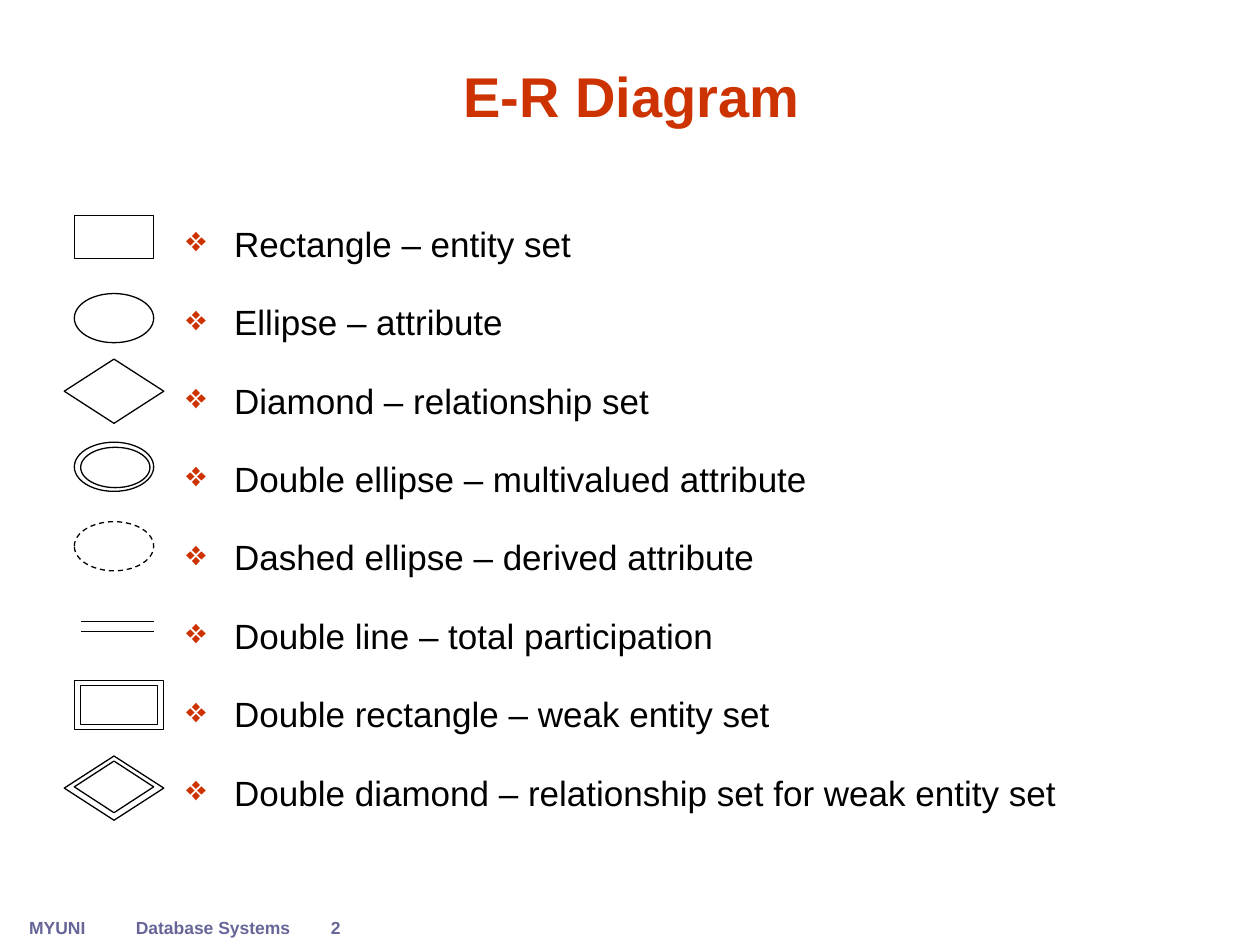
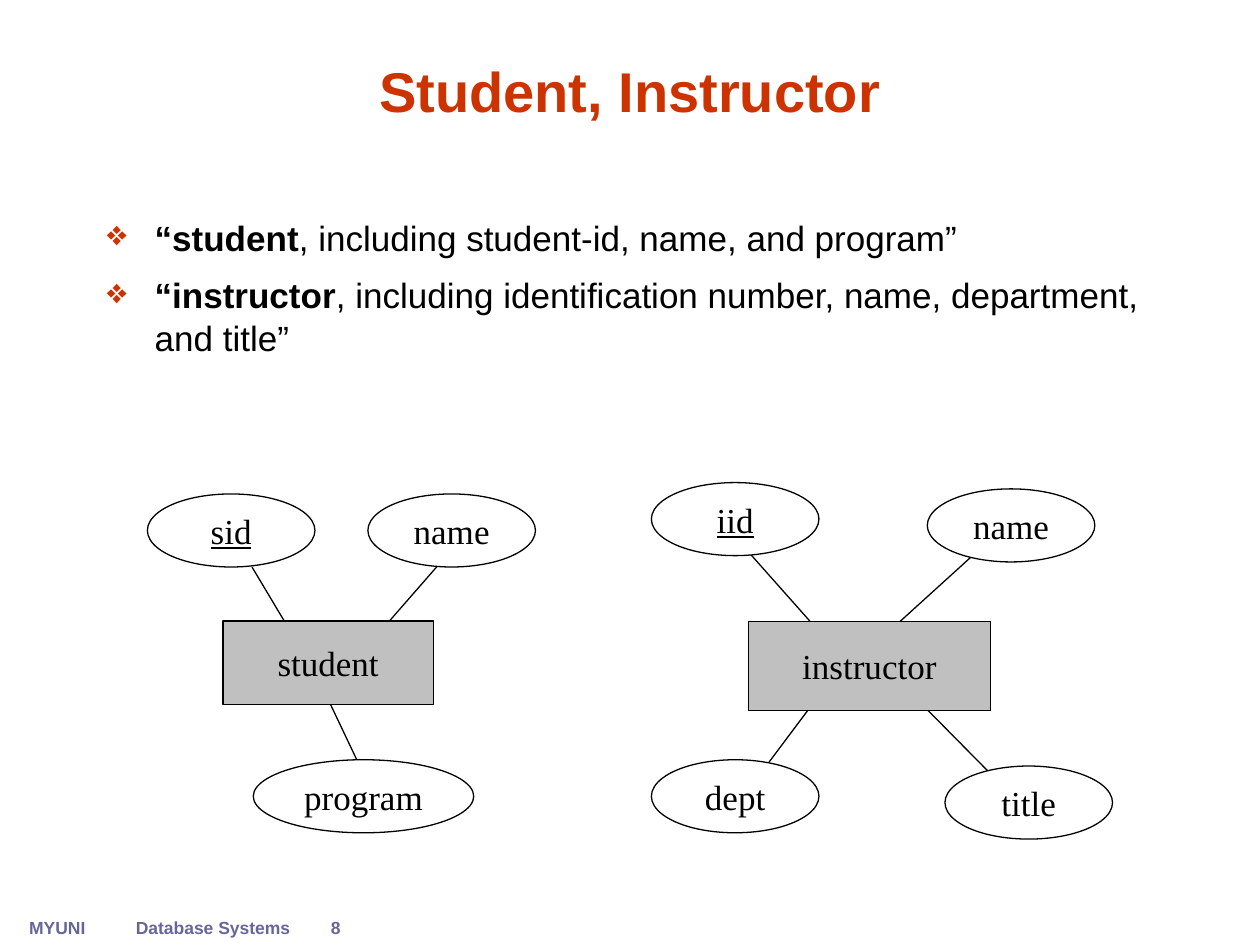
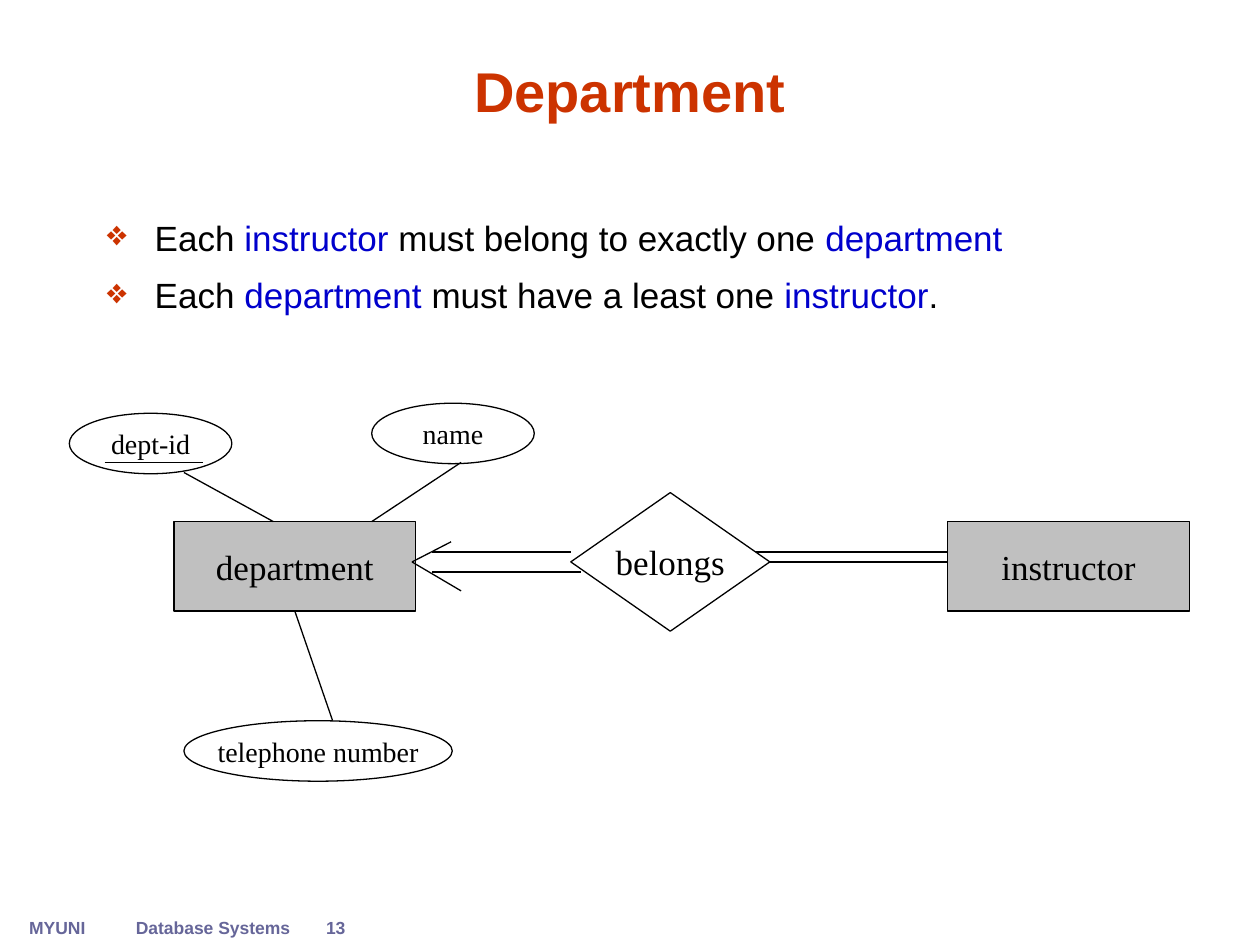
from dataclasses import dataclass

from lxml import etree
from pptx import Presentation
from pptx import util as u
from pptx.dml.color import RGBColor
from pptx.enum import dml, shapes, text
from pptx.oxml.ns import qn

COLORS = {
    "title": "CC3300",
    "footer": "666699",
    "ink": "000000",
    "term": "0000CC",
    "entity": "C0C0C0",
    "paper": "FFFFFF",
}
SANS, SERIF = "Arial", "Times New Roman"
TITLE_ONLY = 5
RECTANGLE = shapes.MSO_SHAPE.RECTANGLE
PROCESS = shapes.MSO_SHAPE.FLOWCHART_PROCESS
ELLIPSE = shapes.MSO_SHAPE.OVAL
DIAMOND = shapes.MSO_SHAPE.FLOWCHART_DECISION


@dataclass
class Node:
    kind: shapes.MSO_SHAPE
    left: float
    top: float
    width: float
    height: float
    label: str = ""
    fill: str = ""
    size: int = 20
    underline: bool = False
    dashed: bool = False


@dataclass
class Link:
    x1: float
    y1: float
    x2: float
    y2: float
    below: str = ""  # label of the node whose bottom middle it leaves


@dataclass
class Span:
    text: str
    bold: bool = False
    color: str = "ink"


def rgb(name: str) -> RGBColor:
    return RGBColor.from_string(COLORS[name])


def inches(*lengths: float) -> list:
    return [u.Inches(length) for length in lengths]


# Text
def add_span(para, words: str, *, size: int, font: str = SANS, color: str = "ink",
             bold: bool = False, underline: bool = False) -> None:
    span = para.add_run()
    span.text = words
    span.font.name = font
    span.font.size = u.Pt(size)
    span.font.color.rgb = rgb(color)
    span.font.bold = bold
    if underline:
        span.font.underline = True


def add_bullet(para) -> None:
    props = para._p.get_or_add_pPr()
    props.set("marL", str(u.Inches(0.38)))
    props.set("indent", str(-u.Inches(0.38)))
    color = etree.SubElement(props, qn("a:buClr"))
    etree.SubElement(color, qn("a:srgbClr")).set("val", COLORS["title"])
    etree.SubElement(props, qn("a:buChar")).set("char", "❖")


def add_bullets(page, place: tuple, items: list[list[Span]], spacing: float = 1.0) -> None:
    frame = page.shapes.add_textbox(*inches(*place)).text_frame
    frame.word_wrap = True
    for number, spans in enumerate(items):
        para = frame.add_paragraph() if number else frame.paragraphs[0]
        para.line_spacing = spacing
        para.space_before = u.Pt(8.8)
        add_bullet(para)
        for span in spans:
            add_span(para, span.text, size=20, bold=span.bold, color=span.color)


# Parts shared by every slide
def add_footer(page, number: int) -> None:
    center, left = text.PP_ALIGN.CENTER, text.PP_ALIGN.LEFT
    for words, x, width, align in (("MYUNI", 0.12, 0.67, center),
                                   ("Database Systems", 0.98, 1.42, left),
                                   (str(number), 2.23, 0.87, center)):
        frame = page.shapes.add_textbox(*inches(x, 7.23, width, 0.27)).text_frame
        frame.word_wrap = False
        para = frame.paragraphs[0]
        para.alignment = align
        para.space_before = u.Pt(6.2)
        add_span(para, words, size=10, color="footer", bold=True)


def add_page(deck, title: str, number: int, place: tuple = (0.75, 0.05, 8.5, 0.98)):
    page = deck.slides.add_slide(deck.slide_layouts[TITLE_ONLY])
    add_footer(page, number)
    box = page.shapes.title
    box.left, box.top, box.width, box.height = inches(*place)
    frame = box.text_frame
    frame.auto_size = text.MSO_AUTO_SIZE.NONE
    frame.vertical_anchor = text.MSO_ANCHOR.BOTTOM
    para = frame.paragraphs[0]
    para.alignment = text.PP_ALIGN.CENTER
    add_span(para, title, size=32, color="title", bold=True)
    return page


# Diagram parts
def add_node(page, node: Node):
    box = page.shapes.add_shape(
        node.kind, *inches(node.left, node.top, node.width, node.height))
    box.shadow.inherit = False
    box.line.color.rgb = rgb("ink")
    box.line.width = u.Pt(0.75)
    if node.dashed:
        box.line.dash_style = dml.MSO_LINE.DASH
    if node.fill:
        box.fill.solid()
        box.fill.fore_color.rgb = rgb(node.fill)
    else:
        box.fill.background()
    if node.label:
        frame = box.text_frame
        frame.word_wrap = False
        frame.vertical_anchor = text.MSO_ANCHOR.MIDDLE
        para = frame.paragraphs[0]
        para.alignment = text.PP_ALIGN.CENTER
        para.space_before = u.Pt(node.size * 0.625)
        add_span(para, node.label, size=node.size, font=SERIF, underline=node.underline)
    return box


def add_link(page, link: Link, boxes: dict) -> None:
    line = page.shapes.add_connector(
        shapes.MSO_CONNECTOR.STRAIGHT, *inches(link.x1, link.y1, link.x2, link.y2))
    line.line.color.rgb = rgb("ink")
    line.line.width = u.Pt(0.75)
    etree.SubElement(line._element.spPr, qn("a:effectLst"))
    if link.below:
        line.begin_connect(boxes[link.below], 2)


def draw(page, parts: list[Node | Link]) -> None:
    boxes = {}
    for part in parts:
        if isinstance(part, Node):
            boxes[part.label] = add_node(page, part)
        else:
            add_link(page, part, boxes)


def entity(label: str, left: float, top: float, width: float = 1.92,
           height: float = 0.71) -> Node:
    return Node(PROCESS, left, top, width, height, label, "entity")


def attribute(label: str, left: float, top: float, width: float = 1.33,
              key: bool = False) -> Node:
    return Node(ELLIPSE, left, top, width, 0.58, label, "paper", underline=key)


def small_attribute(label: str, left: float, top: float, width: float = 1.29) -> Node:
    return Node(ELLIPSE, left, top, width, 0.48, label, "paper", size=16)


# Slides
def add_notation(deck) -> None:
    page = add_page(deck, "E-R Diagram", 2, (0.6, 0.07, 8.83, 1))
    meanings = [
        "Rectangle – entity set",
        "Ellipse – attribute",
        "Diamond – relationship set",
        "Double ellipse – multivalued attribute",
        "Dashed ellipse – derived attribute",
        "Double line – total participation",
        "Double rectangle – weak entity set",
        "Double diamond – relationship set for weak entity set",
    ]
    add_bullets(page, (1.38, 1.55, 8.43, 4.96), [[Span(words)] for words in meanings], 1.5)
    draw(page, [
        Node(PROCESS, 0.59, 1.71, 0.63, 0.34),
        Node(ELLIPSE, 0.59, 2.33, 0.63, 0.39),
        Node(DIAMOND, 0.51, 2.85, 0.79, 0.51),
        Node(ELLIPSE, 0.59, 3.51, 0.63, 0.39),
        Node(ELLIPSE, 0.64, 3.55, 0.55, 0.32),
        Node(ELLIPSE, 0.59, 4.14, 0.63, 0.39, dashed=True),
        Link(1.22, 4.93, 0.64, 4.93),
        Link(1.22, 5.01, 0.64, 5.01),
        Node(RECTANGLE, 0.64, 5.44, 0.61, 0.31),
        Node(RECTANGLE, 0.59, 5.4, 0.71, 0.39),
        Node(DIAMOND, 0.51, 6, 0.79, 0.51),
        Node(DIAMOND, 0.59, 6.04, 0.63, 0.41),
    ])


def add_student_instructor(deck) -> None:
    page = add_page(deck, "Student, Instructor", 8)
    add_bullets(page, (0.75, 1.67, 8.5, 4.5), [
        [Span("“student", bold=True),
         Span(", including student-id, name, and program”")],
        [Span("“instructor", bold=True),
         Span(", including identification number, name, department, and title”")],
    ])
    draw(page, [
        # Lines run under the nodes
        Link(2, 4.5, 2.4, 5.17),
        Link(3.5, 4.46, 2.95, 5.09),
        Link(2.58, 5.5, 2.87, 6.11),
        Link(5.94, 4.38, 6.57, 5.09),
        Link(7.84, 4.3, 6.97, 5.09),
        Link(6.08, 6.08, 6.65, 5.32),
        Link(7.91, 6.19, 7.13, 5.4),
        entity("student", 1.77, 4.93, 1.67, 0.66),
        attribute("name", 2.92, 3.92),
        attribute("sid", 1.17, 3.92, key=True),
        attribute("program", 2.01, 6.03, 1.75),
        entity("instructor", 5.94, 4.93),
        attribute("title", 7.5, 6.08),
        attribute("dept", 5.17, 6.03),
        attribute("name", 7.36, 3.88),
        attribute("iid", 5.17, 3.83, key=True),
    ])


def add_department(deck) -> None:
    page = add_page(deck, "Department", 13)
    instructor = Span("instructor", color="term")
    department = Span("department", color="term")
    add_bullets(page, (0.75, 1.67, 8.5, 4.5), [
        [Span("Each "), instructor, Span(" must belong to exactly one "), department],
        [Span("Each "), department, Span(" must have a least one "), instructor, Span(".")],
    ])
    draw(page, [
        entity("instructor", 7.52, 4.14),
        entity("department", 1.38, 4.14),
        # Total participation of instructor
        Link(7.52, 4.38, 5.95, 4.38),
        Link(7.52, 4.46, 6.02, 4.46),
        Node(DIAMOND, 4.53, 3.91, 1.58, 1.1, "belongs", "paper"),
        small_attribute("telephone number", 1.46, 5.72, 2.13),
        small_attribute("dept-id", 0.55, 3.28),
        small_attribute("name", 2.95, 3.2),
        Link(1.46, 3.75, 2.17, 4.14),
        Link(3.66, 3.67, 2.95, 4.14),
        Link(2.34, 4.85, 2.64, 5.72, below="department"),
        # Key underline
        Link(0.83, 3.67, 1.61, 3.67),
        # Double arrow to department
        Link(3.43, 4.54, 4.61, 4.54),
        Link(3.43, 4.38, 4.53, 4.38),
        Link(3.58, 4.3, 3.27, 4.46),
        Link(3.27, 4.46, 3.66, 4.69),
    ])


def main() -> None:
    deck = Presentation()
    deck.slide_width, deck.slide_height = inches(10, 7.5)
    add_notation(deck)
    add_student_instructor(deck)
    add_department(deck)
    deck.save("out.pptx")


if __name__ == "__main__":
    main()
